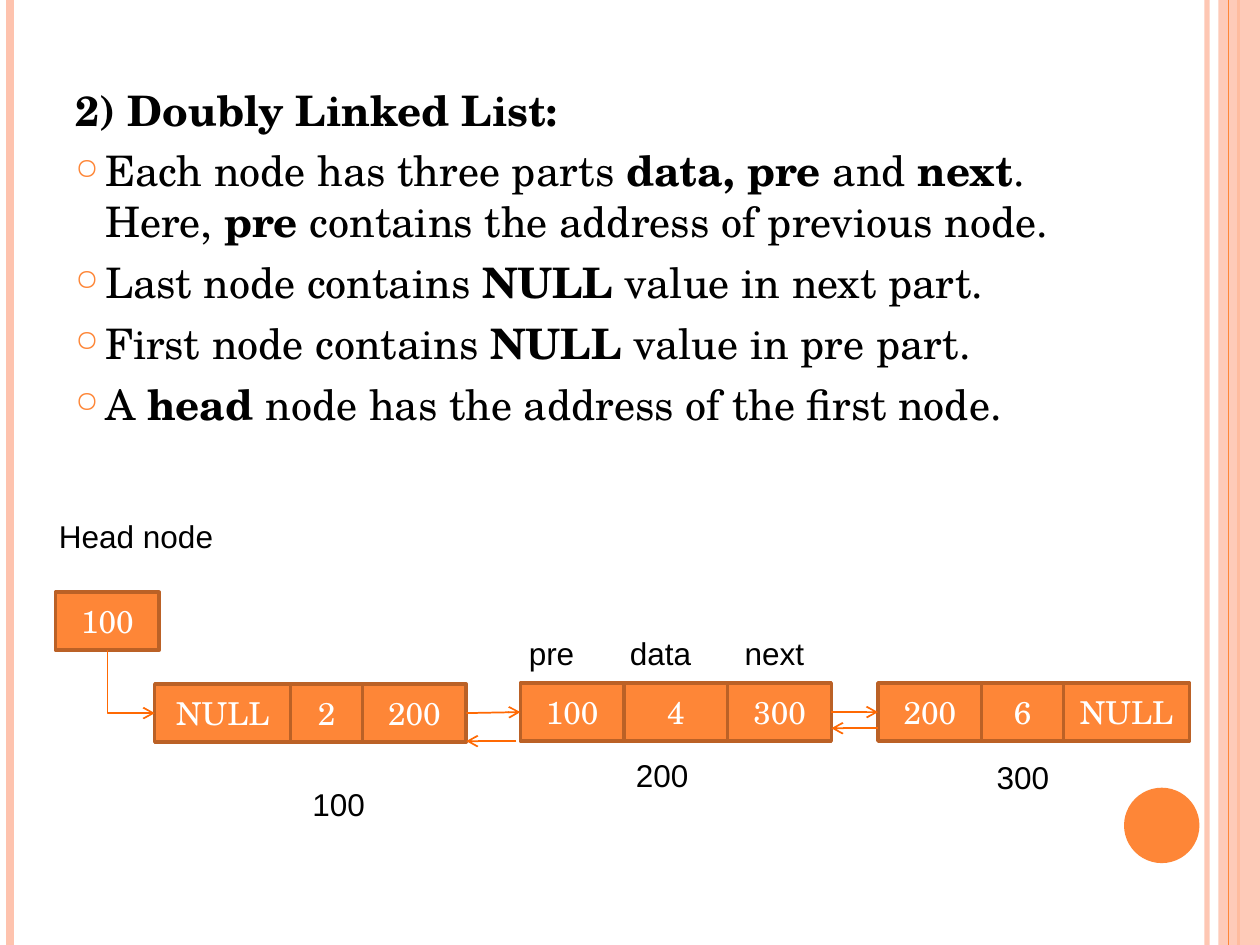
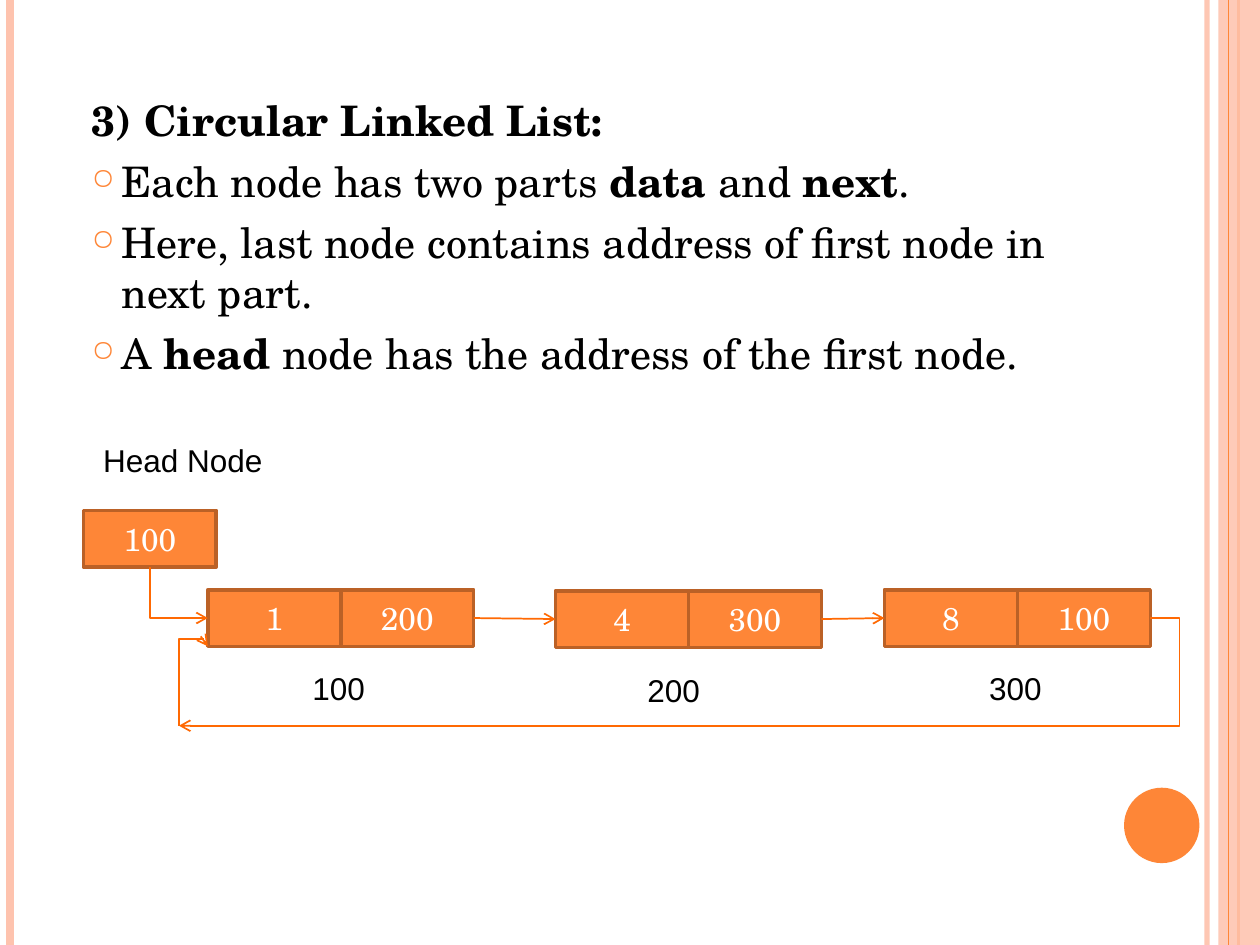
"""Builds two slides on doubly and circular linked lists."""
from lxml import etree
from pptx import Presentation
from pptx.dml.color import RGBColor
from pptx.enum.shapes import MSO_CONNECTOR, MSO_SHAPE
from pptx.enum.text import MSO_ANCHOR, PP_ALIGN
from pptx.oxml.ns import qn
from pptx.util import Cm, Pt

STRAIGHT, ELBOW = MSO_CONNECTOR.STRAIGHT, MSO_CONNECTOR.ELBOW
RECT, OVAL = MSO_SHAPE.RECTANGLE, MSO_SHAPE.OVAL
MIDDLE, CENTER = MSO_ANCHOR.MIDDLE, PP_ALIGN.CENTER
LEFT_SIDE, RIGHT_SIDE = 1, 3

WIDTH, HEIGHT = 25.4, 19.05
SERIF, SANS = "TeX Gyre Schola", "Arial"
COLORS = {
    "accent": "FE8637",
    "pale": "FEC3AE",
    "border": "BB6126",
    "arrow": "FF6903",
    "text": "000000",
    "white": "FFFFFF",
}


def rgb(name):
    return RGBColor.from_string(COLORS[name])


def add_xml(parent, tag, **attrs):
    return etree.SubElement(parent, qn(tag), attrs)


def set_alpha(element, percent):
    color = next(element.iter(qn("a:srgbClr")))
    add_xml(color, "a:alpha", val=str(percent * 1000))


def format_runs(p, font, size, color):
    for r in p.runs:
        r.font.name, r.font.size = font, Pt(size)
        r.font.color.rgb = rgb(color)


class Deck:
    def __init__(self):
        self.prs = Presentation()
        self.prs.slide_width, self.prs.slide_height = Cm(WIDTH), Cm(HEIGHT)
        self.slide = None

    def new_slide(self):
        self.slide = self.prs.slides.add_slide(self.prs.slide_layouts[6])
        self.rule(24.33, "pale", 3, alpha=93)
        self.rule(0.2, "pale", 4.5)
        self.rule(24.97, "accent", 1.5)
        band = self.shape(RECT, 24.56, 0, 0.84, HEIGHT, "pale")
        set_alpha(band._element.spPr, 87)
        self.rule(24.77, "accent", 0.75)
        self.shape(OVAL, 22.66, 15.88, 1.52, 1.52, "accent")

    def shape(self, kind, x, y, w, h, fill):
        sp = self.slide.shapes.add_shape(kind, Cm(x), Cm(y), Cm(w), Cm(h))
        sp.shadow.inherit = False
        sp.fill.solid()
        sp.fill.fore_color.rgb = rgb(fill)
        sp.line.fill.background()
        return sp

    def connector(self, kind, start, end, color, width):
        cxn = self.slide.shapes.add_connector(
            kind, *(Cm(v) for v in (*start, *end)))
        cxn.line.color.rgb = rgb(color)
        cxn.line.width = Pt(width)
        add_xml(cxn._element.spPr, "a:effectLst")
        return cxn

    def rule(self, x, color, width, alpha=None):
        cxn = self.connector(STRAIGHT, (x, 0), (x, HEIGHT), color, width)
        if alpha:
            set_alpha(cxn._element.spPr, alpha)

    def arrow(self, start, end, kind=STRAIGHT):
        cxn = self.connector(kind, start, end, "arrow", 1)
        add_xml(cxn._element.spPr.find(qn("a:ln")), "a:tailEnd", type="arrow")
        return cxn

    def link(self, source, target):
        cxn = self.arrow((0, 0), (1, 1))
        cxn.begin_connect(source, RIGHT_SIDE)
        cxn.end_connect(target, LEFT_SIDE)

    def elbow(self, start, end, adjust=None, upright=False):
        """Bend once without adjust; upright leaves the start vertically."""
        if upright:
            cx, cy = ((a + b) / 2 for a, b in zip(start, end))
            start, end = ((cx + y - cy, cy - x + cx) for x, y in (start, end))
        cxn = self.arrow(start, end, ELBOW)
        sp_pr = cxn._element.spPr
        if upright:
            sp_pr.find(qn("a:xfrm")).set("rot", str(90 * 60000))
        geom = sp_pr.find(qn("a:prstGeom"))
        if adjust is None:
            geom.set("prst", "bentConnector2")
        else:
            guides = geom.find(qn("a:avLst"))
            add_xml(guides, "a:gd", name="adj1",
                    fmla=f"val {round(adjust * 100000)}")

    def head_link(self, head, first):
        self.elbow((head.left.cm + head.width.cm / 2,
                    head.top.cm + head.height.cm),
                   (first.left.cm, first.top.cm + first.height.cm / 2),
                   upright=True)

    def cell(self, text, x, y, w, h):
        sp = self.shape(RECT, x, y, w, h, "accent")
        sp.line.color.rgb = rgb("border")
        sp.line.width = Pt(2)
        tf = sp.text_frame
        tf.text = text
        tf.vertical_anchor = MIDDLE
        p = tf.paragraphs[0]
        p.alignment = CENTER
        format_runs(p, SERIF, 18, "white")
        return sp

    def node(self, x, y, h, parts):
        cells = []
        for text, w in parts:
            cells.append(self.cell(text, x, y, w, h))
            x += w
        return cells

    def textbox(self, x, y, w, h):
        box = self.slide.shapes.add_textbox(Cm(x), Cm(y), Cm(w), Cm(h))
        box.text_frame.word_wrap = True
        return box.text_frame

    def label(self, text, x, y, w=2.18):
        tf = self.textbox(x, y, w, 1.02)
        tf.text = text
        format_runs(tf.paragraphs[0], SANS, 18, "text")

    def body(self, x, y, h, title, points):
        """Write a bold title and bullets; asterisks enclose bold words."""
        tf = self.textbox(x, y, 20.75, h)
        tf.text = title
        p = tf.paragraphs[0]
        p.runs[0].font.bold = True
        format_runs(p, SERIF, 24, "text")
        for point in points:
            p = tf.add_paragraph()
            self.bullet(p)
            p.space_before = Pt(6)
            for i, part in enumerate(point.split("*")):
                r = p.add_run()
                r.text = part
                r.font.bold = i % 2 == 1
            format_runs(p, SERIF, 24, "text")

    def bullet(self, p):
        p_pr = p._p.get_or_add_pPr()
        p_pr.set("marL", str(Cm(0.6)))
        p_pr.set("indent", str(-Cm(0.6)))
        color = add_xml(p_pr, "a:buClr")
        add_xml(color, "a:srgbClr", val=COLORS["accent"])
        add_xml(p_pr, "a:buSzPct", val="70000")
        add_xml(p_pr, "a:buChar", char="○")


def doubly_linked(deck):
    deck.new_slide()
    deck.body(1.27, 1.57, 16.41, "2) Doubly Linked List:", [
        "Each node has three parts *data, pre* and *next*. Here, *pre* "
        "contains the address of previous node.",
        "Last node contains *NULL *value in next part.",
        "First node contains *NULL *value in pre part.",
        "A *head *node has the address of the first node.",
    ])
    h = 1.17
    head = deck.cell("100", 1.12, 11.94, 2.09, h)
    first = deck.node(3.12, 13.79, h,
                      [("NULL", 2.74), ("2", 1.45), ("200", 2.09)])
    second = deck.node(10.49, 13.77, h,
                       [(text, 2.09) for text in ("100", "4", "300")])
    third = deck.node(17.7, 13.77, h,
                      [("200", 2.09), ("6", 1.65), ("NULL", 2.54)])
    deck.head_link(head, first[0])
    deck.link(first[-1], second[0])
    deck.link(second[-1], third[0])
    deck.arrow((10.41, 14.94), (9.4, 14.94))
    deck.arrow((17.7, 14.68), (16.76, 14.68))
    deck.label("Head node", 0.94, 10.29, 4.14)
    for text, x in (("pre", 10.41), ("data", 12.45), ("next", 14.76)):
        deck.label(text, x, 12.65, 2)
    for text, x, y in (("100", 6.05, 15.7), ("200", 12.57, 15.11),
                       ("300", 19.84, 15.16)):
        deck.label(text, x, y)


def circular_linked(deck):
    deck.new_slide()
    deck.body(1.6, 1.78, 13.54, "3) Circular Linked List:", [
        "Each node has two parts *data* and *next*.",
        "Here, last node contains address of first node in next part.",
        "A *head *node has the address of the first node.",
    ])
    w, h = 2.68, 1.14
    head = deck.cell("100", 1.68, 10.29, w, h)
    first, second, third = (
        deck.node(x, y, h, [(data, w), (address, w)])
        for x, y, data, address in ((4.19, 11.89, "1", "200"),
                                    (11.2, 11.91, "4", "300"),
                                    (17.83, 11.89, "8", "100")))
    deck.head_link(head, first[0])
    deck.link(first[-1], second[0])
    deck.link(second[-1], third[0])
    corner = (3.61, 14.63)
    deck.elbow((23.19, 12.46), corner, adjust=-0.03)
    deck.elbow(corner, (4.19, 13.03), adjust=1.09, upright=True)
    deck.label("Head Node", 1.83, 8.76, 3.99)
    for text, x, y in (("100", 6.05, 13.36), ("200", 12.8, 13.41),
                       ("300", 19.69, 13.36)):
        deck.label(text, x, y)


def main():
    deck = Deck()
    doubly_linked(deck)
    circular_linked(deck)
    deck.prs.save("out.pptx")


if __name__ == "__main__":
    main()
